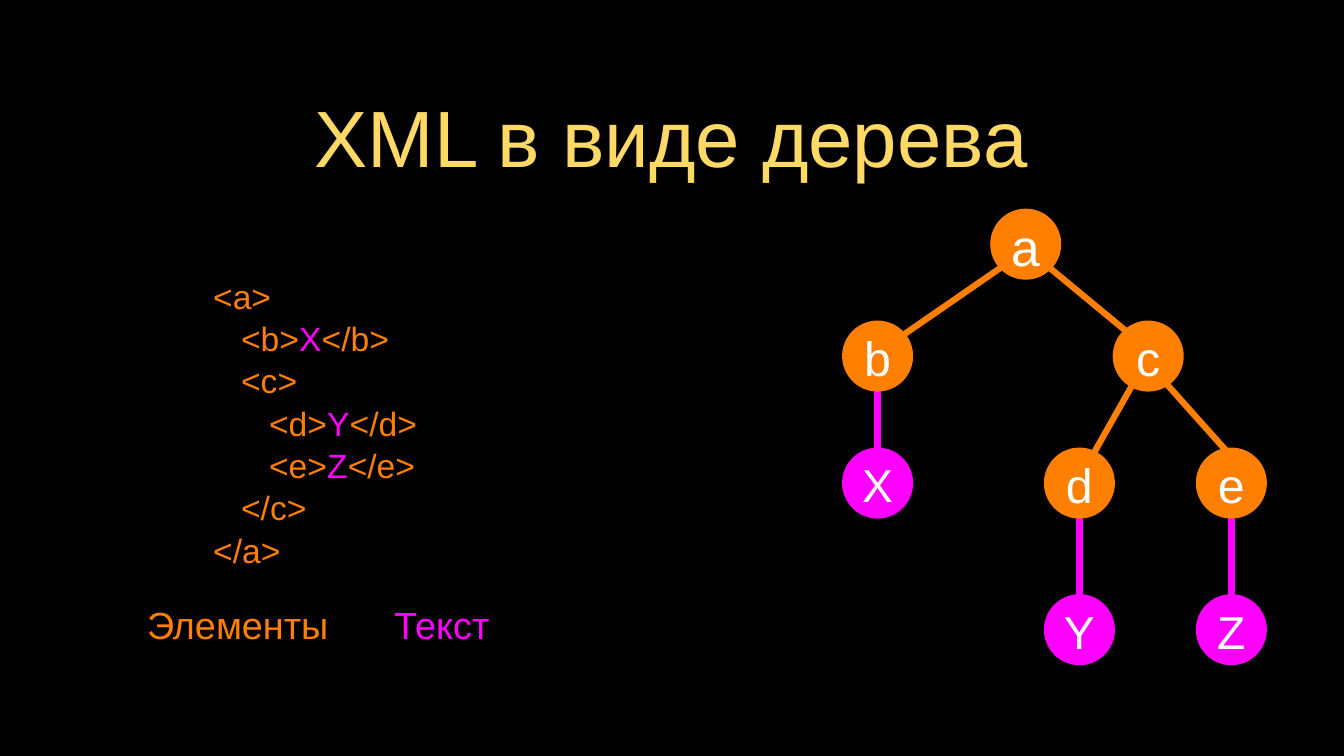
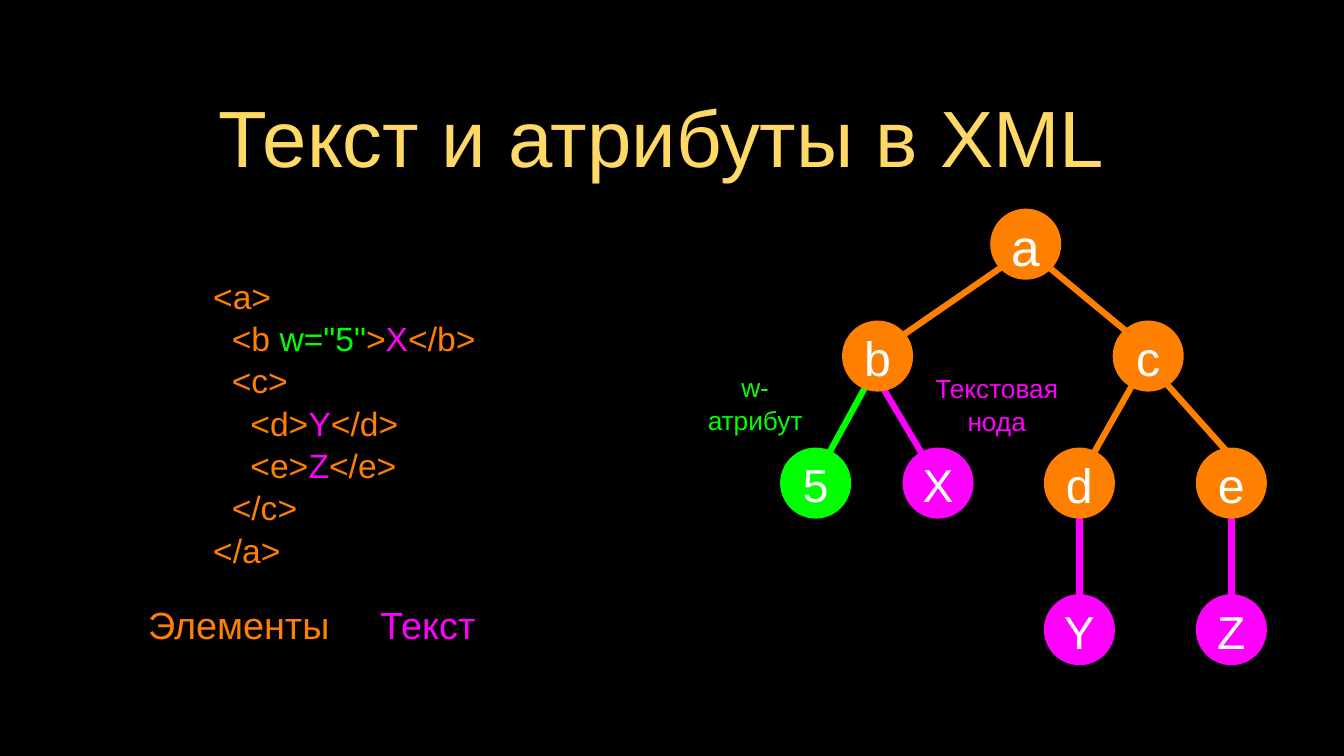
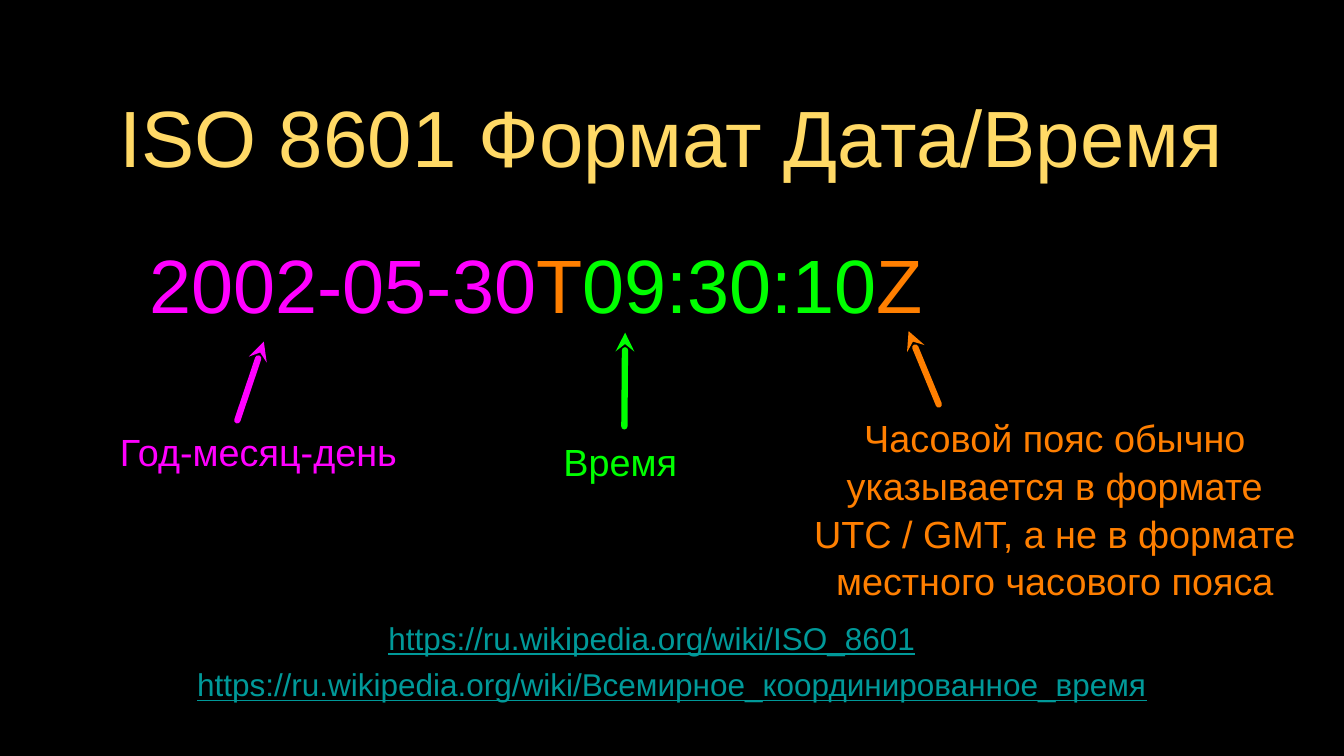
from pptx import Presentation
from pptx.dml.color import RGBColor
from pptx.enum.shapes import MSO_CONNECTOR, MSO_SHAPE
from pptx.enum.text import MSO_ANCHOR, PP_ALIGN
from pptx.oxml.ns import qn
from pptx.util import Inches, Pt
from lxml.etree import SubElement

COLORS = {
    "background": "000000",
    "title": "FFD966",
    "element": "FF7F00",
    "text": "FF00FF",
    "attribute": "00FF00",
    "link": "009999",
    "node": "FFFFFF",
}
FONT = "Arial"
LINE_SPACING = 1.05
NODE_SIZE = 0.94
TREE_ORIGIN = (10.32, 2.76)
CODE_TOP, CODE_LEFT, CODE_HEIGHT = 3.46, 2.82, 4.24
LEGEND_TOP, LABEL_HEIGHT = 7.9, 0.68

# Nodes: label -> (left, top, kind, size); edges: (start, end, kind).
# All are measured from the top left corner of the tree.
COMMON_NODES = {
    "a": (2.78, 0, "element", 49),
    "b": (0.82, 1.48, "element", 46),
    "c": (4.4, 1.48, "element", 46),
    "d": (3.49, 3.16, "element", 46),
    "e": (5.5, 3.16, "element", 46),
    "Y": (3.49, 5.1, "text", 44),
    "Z": (5.5, 5.1, "text", 44),
}
COMMON_EDGES = [
    ((3.08, 0.67), (1.5, 1.76), "element"),
    ((3.49, 0.72), (4.65, 1.68), "element"),
    ((4.69, 2.28), (4.09, 3.34), "element"),
    ((5.06, 2.26), (5.9, 3.2), "element"),
    ((3.96, 4.01), (3.96, 5.14), "text"),
    ((5.97, 4.01), (5.97, 5.14), "text"),
]


def rgb(kind):
    return RGBColor.from_string(COLORS[kind])


def add_run(paragraph, text, kind, size, underline=None):
    run = paragraph.add_run()
    run.text = text
    font = run.font
    font.name, font.size, font.underline = FONT, Pt(size), underline
    font.color.rgb = rgb(kind)


def prepare_frame(frame, inset=0.0):
    frame.word_wrap = True
    frame.vertical_anchor = MSO_ANCHOR.MIDDLE
    frame.margin_left = frame.margin_right = Inches(inset)
    frame.margin_top = frame.margin_bottom = Inches(inset)


def add_lines(slide, box, lines, size, align=PP_ALIGN.CENTER, underline=None):
    """Write lines, each a list of (text, kind) runs, in a text box."""
    frame = slide.shapes.add_textbox(*map(Inches, box)).text_frame
    prepare_frame(frame)
    for index, runs in enumerate(lines):
        paragraph = frame.add_paragraph() if index else frame.paragraphs[0]
        paragraph.alignment = align
        paragraph.line_spacing = LINE_SPACING
        for text, kind in runs:
            add_run(paragraph, text, kind, size, underline)


def add_label(slide, box, text, kind, size=36, underline=None):
    add_lines(slide, box, [[(text, kind)]], size, underline=underline)


def add_line(slide, start, end, kind, arrow=False):
    """Draw a thick line, with an arrowhead at its start if asked."""
    line = slide.shapes.add_connector(
        MSO_CONNECTOR.STRAIGHT, *map(Inches, (*start, *end)))
    line.line.width = Pt(6)
    line.line.color.rgb = rgb(kind)
    properties = line._element.spPr
    outline = properties.find(qn("a:ln"))
    outline.set("cap", "rnd")
    SubElement(outline, qn("a:round"))
    if arrow:
        SubElement(outline, qn("a:headEnd"), type="stealth")
    SubElement(properties, qn("a:effectLst"))


def add_titled_slide(prs, text):
    slide = prs.slides.add_slide(prs.slide_layouts[5])
    title = slide.shapes.title
    title.left, title.top = Inches(1.26), Inches(0.83)
    title.width, title.height = Inches(15.24), Inches(1.94)
    prepare_frame(title.text_frame, 0.04)
    paragraph = title.text_frame.paragraphs[0]
    paragraph.alignment = PP_ALIGN.CENTER
    add_run(paragraph, text, "title", 76)
    return slide


def add_node(slide, left, top, label, kind, size):
    node = slide.shapes.add_shape(
        MSO_SHAPE.OVAL, *map(Inches, (left, top, NODE_SIZE, NODE_SIZE)))
    node.shadow.inherit = False
    node.fill.solid()
    node.fill.fore_color.rgb = rgb(kind)
    node.line.fill.background()
    prepare_frame(node.text_frame)
    paragraph = node.text_frame.paragraphs[0]
    paragraph.alignment = PP_ALIGN.CENTER
    paragraph.line_spacing = LINE_SPACING
    add_run(paragraph, label, "node", size)


def add_tree(slide, origin, extra_nodes, extra_edges):
    """Draw the common tree and the extra leaves under node b."""
    x, y = origin
    for start, end, kind in COMMON_EDGES + extra_edges:
        add_line(slide, (x + start[0], y + start[1]),
                 (x + end[0], y + end[1]), kind)
    for label, (left, top, kind, size) in (COMMON_NODES | extra_nodes).items():
        add_node(slide, x + left, y + top, label, kind, size)


def add_code(slide, width, indent, attribute=None):
    """Write the XML sample; indent is the number of spaces per level."""
    step = " " * indent
    opening = [(step + "<b>", "element")]
    if attribute:
        opening = [(step + "<b ", "element"), (attribute, "attribute"),
                   (">", "element")]

    def leaf(tag, value):
        return [(f"{step * 2}<{tag}>", "element"), (value, "text"),
                (f"</{tag}>", "element")]

    lines = [
        [("<a>", "element")],
        opening + [("X", "text"), ("</b>", "element")],
        [(step + "<c>", "element")],
        leaf("d", "Y"),
        leaf("e", "Z"),
        [(step + "</c>", "element")],
        [("</a>", "element")],
    ]
    add_lines(slide, (CODE_LEFT, CODE_TOP, width, CODE_HEIGHT), lines, 32,
              PP_ALIGN.LEFT)


def add_legend(slide, elements_left, elements_width, text_width):
    add_label(slide, (elements_left, LEGEND_TOP, elements_width, LABEL_HEIGHT),
              "Элементы", "element")
    add_label(slide, (4.98, LEGEND_TOP, text_width, LABEL_HEIGHT),
              "Текст", "text")


def build_tree_slide(prs):
    slide = add_titled_slide(prs, "XML в виде дерева")
    add_code(slide, 2.98, 3)
    add_tree(slide, TREE_ORIGIN, {"X": (0.82, 3.16, "text", 44)},
             [((1.29, 2.25), (1.29, 3.38), "text")])
    add_legend(slide, 1.84, 2.61, 1.73)


def build_attribute_slide(prs):
    slide = add_titled_slide(prs, "Текст и атрибуты в XML ")
    add_code(slide, 4.02, 2, 'w="5"')
    add_tree(slide, TREE_ORIGIN,
             {"X": (1.62, 3.16, "text", 44), "5": (0, 3.16, "attribute", 44)},
             [((1.29, 2.25), (1.9, 3.28), "text"),
              ((1.11, 2.39), (0.65, 3.23), "attribute")])
    add_label(slide, (9.19, 4.7, 1.6, 1.25), "w-атрибут", "attribute", 25)
    add_label(slide, (12.33, 4.71, 1.71, 1.25), "Текстовая нода", "text", 25)
    add_legend(slide, 1.87, 2.58, 1.36)


def build_date_slide(prs):
    slide = add_titled_slide(prs, "ISO 8601 Формат Дата/Время")
    timestamp = [("2002-05-30", "text"), ("T", "element"),
                 ("09:30:10", "attribute"), ("Z", "element")]
    add_lines(slide, (1.98, 3.09, 11.93, 1.26), [timestamp], 72, PP_ALIGN.LEFT)

    zone_note = ("Часовой пояс обычно указывается в формате UTC / GMT, "
                 "а не в формате местного часового пояса")
    callouts = [
        ((1.34, 5.62, 4.16, LABEL_HEIGHT), "Год-месяц-день", "text",
         (3.49, 4.52), (3.14, 5.56)),
        ((6.95, 5.75, 2.51, LABEL_HEIGHT), "Время", "attribute",
         (8.27, 4.4), (8.26, 5.64)),
        ((10.71, 5.57, 6.49, 2.3), zone_note, "element",
         (12.02, 4.38), (12.42, 5.35)),
    ]
    for box, text, kind, tip, tail in callouts:
        add_label(slide, box, text, kind)
        add_line(slide, tip, tail, kind, arrow=True)

    links = [
        ((4.04, 8.09, 9.17, LABEL_HEIGHT), "ISO_8601"),
        ((1.71, 8.7, 14.36, LABEL_HEIGHT),
         "Всемирное_координированное_время"),
    ]
    for box, article in links:
        add_label(slide, box, "https://ru.wikipedia.org/wiki/" + article,
                  "link", 30, underline=True)


def main():
    prs = Presentation()
    prs.slide_width, prs.slide_height = Inches(17.78), Inches(10)
    backdrop = prs.slide_master.background.fill
    backdrop.solid()
    backdrop.fore_color.rgb = rgb("background")
    build_tree_slide(prs)
    build_attribute_slide(prs)
    build_date_slide(prs)
    prs.save("out.pptx")


if __name__ == "__main__":
    main()
